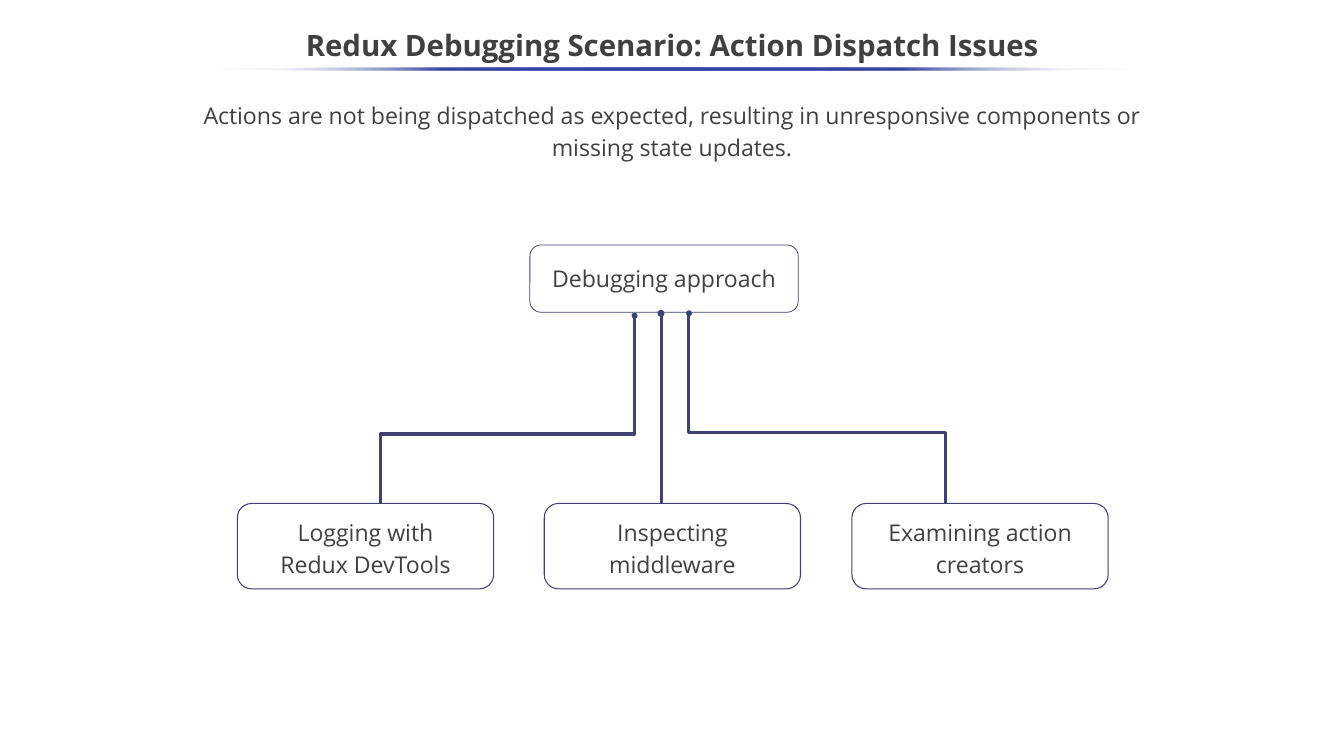
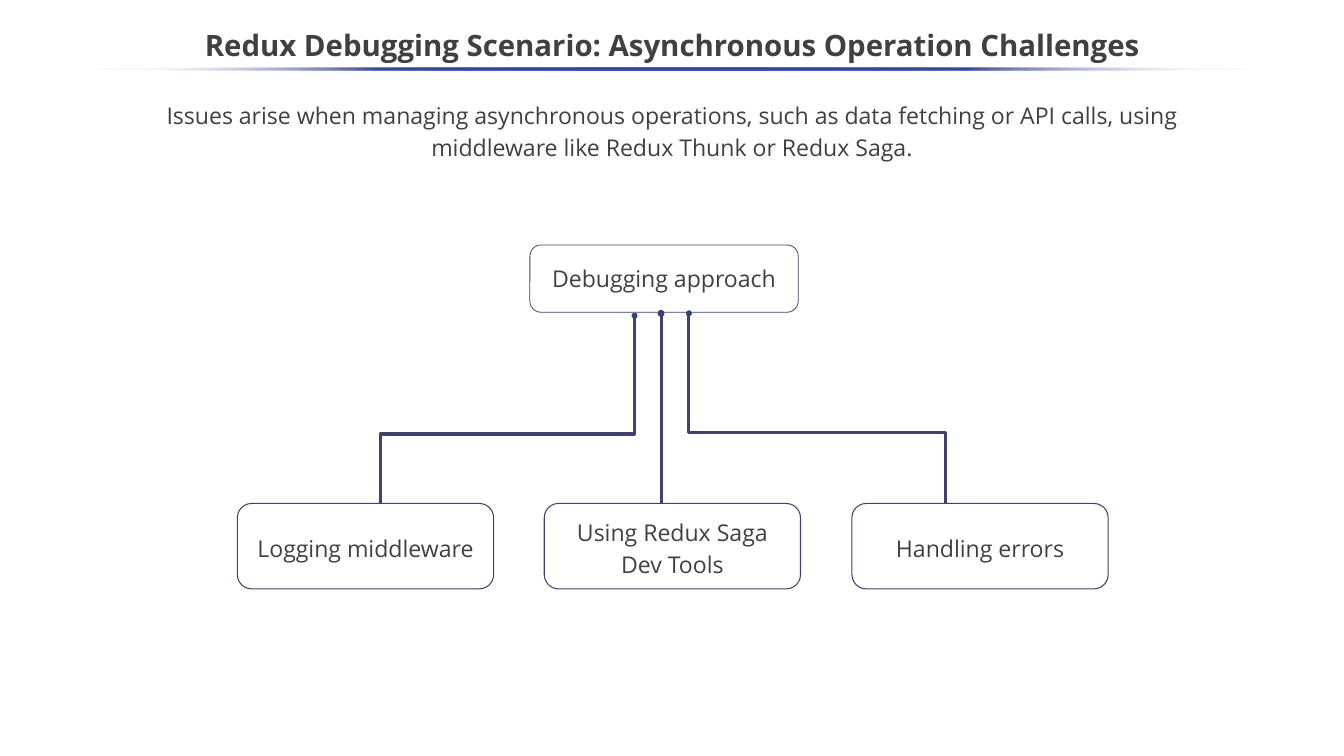
from lxml import etree
from pptx import Presentation
from pptx.dml.color import RGBColor
from pptx.enum.shapes import MSO_CONNECTOR, MSO_SHAPE
from pptx.enum.text import MSO_ANCHOR, PP_ALIGN
from pptx.oxml import parse_xml
from pptx.oxml.ns import nsdecls, qn
from pptx.util import Pt

PX = 9144  # 100 px to the inch
FONT = "Open Sans"
COLORS = {
    "text": "404040",
    "line": "404172",
    "dot": "204477",
    "rule": "3645A9",
    "white": "FFFFFF",
}
CHILD_TOP, CHILD_WIDTH, CHILD_HEIGHT = 666, 339, 113

# Dot corner, dot outline in points, and wire route of each branch
BRANCHES = [
    ((836, 414), 0.42, [(839, 417), (839, 574), (503, 574), (503, 666)]),
    ((871, 411), 1.5, [(875, 414), (875, 667)]),
    ((908, 411), 0.42, [(911, 415), (911, 572), (1251, 572), (1251, 673)]),
]

SCENARIOS = [
    {
        "title": "Redux Debugging Scenario: Action Dispatch Issues",
        "rule": (283, 1212),
        "problem": "Actions are not being dispatched as expected, resulting in "
                   "unresponsive components or missing state updates.",
        "problem_span": (204, 1370),
        "steps": ["Logging with\nRedux DevTools", "Inspecting middleware",
                  "Examining action creators"],
    },
    {
        "title": "Redux Debugging Scenario: Asynchronous Operation Challenges",
        "rule": (115, 1548),
        "problem": "Issues arise when managing asynchronous operations, such as data "
                   "fetching or API calls, using middleware like Redux Thunk or Redux Saga.",
        "problem_span": (140, 1498),
        "steps": ["Logging middleware", "Using Redux Saga\nDev Tools", "Handling errors"],
    },
]


def write(shape, text, size=22, bold=False, spacing=1.15, anchor=MSO_ANCHOR.MIDDLE):
    frame = shape.text_frame
    frame.word_wrap = True
    frame.vertical_anchor = anchor
    frame.text = text
    for paragraph in frame.paragraphs:
        paragraph.alignment = PP_ALIGN.CENTER
        paragraph.line_spacing = spacing
        for run in paragraph.runs:
            run.font.name = FONT
            run.font.size = Pt(size)
            run.font.bold = bold
            run.font.color.rgb = RGBColor.from_string(COLORS["text"])


def style(shape, width, fill=None):
    shape.shadow.inherit = False
    shape.line.color.rgb = RGBColor.from_string(COLORS["line"])
    shape.line.width = Pt(width)
    if fill:
        shape.fill.solid()
        shape.fill.fore_color.rgb = RGBColor.from_string(COLORS[fill])
    else:
        shape.fill.background()


prs = Presentation()
prs.slide_width, prs.slide_height = 1778 * PX, 1000 * PX

# Title rule fades to transparent white at both ends
stops = "".join(
    f'<a:gs pos="{pos * 1000}"><a:srgbClr val="{COLORS[color]}">{alpha}</a:srgbClr></a:gs>'
    for pos, color, alpha in [
        (0, "white", '<a:alpha val="0"/>'), (25, "rule", ""), (50, "rule", ""),
        (75, "rule", ""), (100, "white", '<a:alpha val="0"/>')])
fade = (f'<a:gradFill {nsdecls("a")} rotWithShape="1"><a:gsLst>{stops}</a:gsLst>'
        '<a:lin ang="10800000" scaled="0"/></a:gradFill>')

for scenario in SCENARIOS:
    slide = prs.slides.add_slide(prs.slide_layouts[6])
    shapes = slide.shapes

    # Problem statement
    left, width = scenario["problem_span"]
    problem = shapes.add_textbox(left * PX, 129 * PX, width * PX, 99 * PX)
    write(problem, scenario["problem"], anchor=MSO_ANCHOR.TOP)
    problem.text_frame.margin_top = problem.text_frame.margin_bottom = 0

    # Title and its rule
    title = shapes.add_textbox(-1 * PX, 25 * PX, 1780 * PX, 75 * PX)
    write(title, scenario["title"], size=28, bold=True, spacing=0.9)
    left, width = scenario["rule"]
    rule = shapes.add_shape(MSO_SHAPE.OVAL, left * PX, 89 * PX, width * PX, 4 * PX)
    rule.shadow.inherit = False
    rule.line.fill.background()
    rule._element.spPr.find(qn("a:prstGeom")).addnext(parse_xml(fade))

    # Branches: dot, wire and step
    for i, (corner, outline, route) in enumerate(BRANCHES):
        dot = shapes.add_shape(MSO_SHAPE.OVAL, corner[0] * PX, corner[1] * PX, 7 * PX, 7 * PX)
        style(dot, outline, "dot")

        points = [(x * PX, y * PX) for x, y in route]
        if len(points) == 2:
            wire = shapes.add_connector(MSO_CONNECTOR.STRAIGHT, *points[0], *points[1])
            wire.line.color.rgb = RGBColor.from_string(COLORS["line"])
            wire.line.width = Pt(3)
            etree.SubElement(wire._element.spPr, qn("a:effectLst"))
        else:
            builder = shapes.build_freeform(*points[0])
            builder.add_line_segments(points[1:], close=False)
            style(builder.convert_to_shape(), 3)

        step = shapes.add_shape(MSO_SHAPE.ROUNDED_RECTANGLE, (314 + 813 * i // 2) * PX,
                                CHILD_TOP * PX, CHILD_WIDTH * PX, CHILD_HEIGHT * PX)
        style(step, 1, "white")
        write(step, scenario["steps"][i])

    # Root of the tree
    approach = shapes.add_shape(MSO_SHAPE.ROUNDED_RECTANGLE,
                                701 * PX, 324 * PX, 355 * PX, 89 * PX)
    style(approach, 0.75)
    write(approach, "Debugging approach", spacing=1.0)

prs.save("out.pptx")
